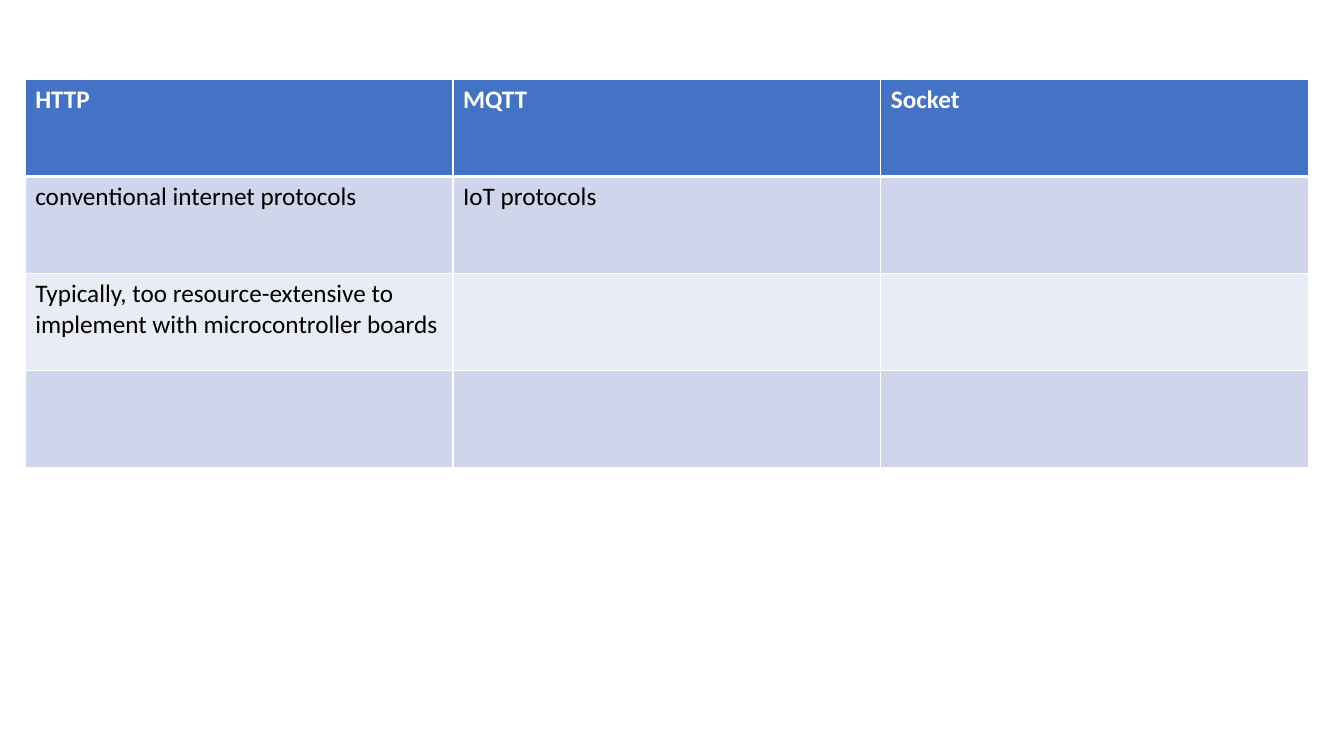
from lxml import etree
from pptx import Presentation
from pptx.dml.color import RGBColor
from pptx.oxml.ns import qn
from pptx.util import Inches, Pt

BLANK_LAYOUT = 6
FONT = "Calibri"
TEXT_SIZE = 18
COLORS = {
    "header": "4472C4",
    "band_dark": "CFD5EA",
    "band_light": "E9EBF5",
    "border": "FFFFFF",
    "header_text": "FFFFFF",
    "body_text": "000000",
}
PROTOCOL_ROWS = [
    ["HTTP", "MQTT", "Socket"],
    ["conventional internet protocols", "IoT protocols", ""],
    ["Typically, too resource-extensive to implement with microcontroller boards", "", ""],
    ["", "", ""],
]


def rgb(name):
    return RGBColor.from_string(COLORS[name])


def add_borders(cell, top, bottom):
    """Draw the cell's borders; top and bottom are widths in points."""
    properties = cell._tc.get_or_add_tcPr()
    for side, width in (("L", 1), ("R", 1), ("T", top), ("B", bottom)):
        line = etree.SubElement(properties, qn(f"a:ln{side}"), w=str(Pt(width)))
        fill = etree.SubElement(line, qn("a:solidFill"))
        etree.SubElement(fill, qn("a:srgbClr"), val=COLORS["border"])


def format_cell(cell, text, row):
    is_header = row == 0
    add_borders(cell, top=3 if row == 1 else 1, bottom=3 if is_header else 1)
    band = "header" if is_header else "band_dark" if row % 2 else "band_light"
    cell.fill.solid()
    cell.fill.fore_color.rgb = rgb(band)
    paragraph = cell.text_frame.paragraphs[0]
    paragraph.font.size = Pt(TEXT_SIZE)
    if text:
        run = paragraph.add_run()
        run.text = text
        run.font.name = FONT
        run.font.size = Pt(TEXT_SIZE)
        run.font.bold = is_header
        run.font.color.rgb = rgb("header_text" if is_header else "body_text")


def add_protocol_table(slide, left, top, width, height):
    row_count, column_count = len(PROTOCOL_ROWS), len(PROTOCOL_ROWS[0])
    table = slide.shapes.add_table(
        row_count, column_count, left, top, width, height
    ).table
    for row, texts in enumerate(PROTOCOL_ROWS):
        for column, text in enumerate(texts):
            format_cell(table.cell(row, column), text, row)


def main():
    presentation = Presentation()
    presentation.slide_width = Inches(13.33)
    presentation.slide_height = Inches(7.5)
    slide = presentation.slides.add_slide(presentation.slide_layouts[BLANK_LAYOUT])
    add_protocol_table(slide, Inches(0.25), Inches(0.79), Inches(12.73), Inches(3.85))
    presentation.save("out.pptx")


if __name__ == "__main__":
    main()
